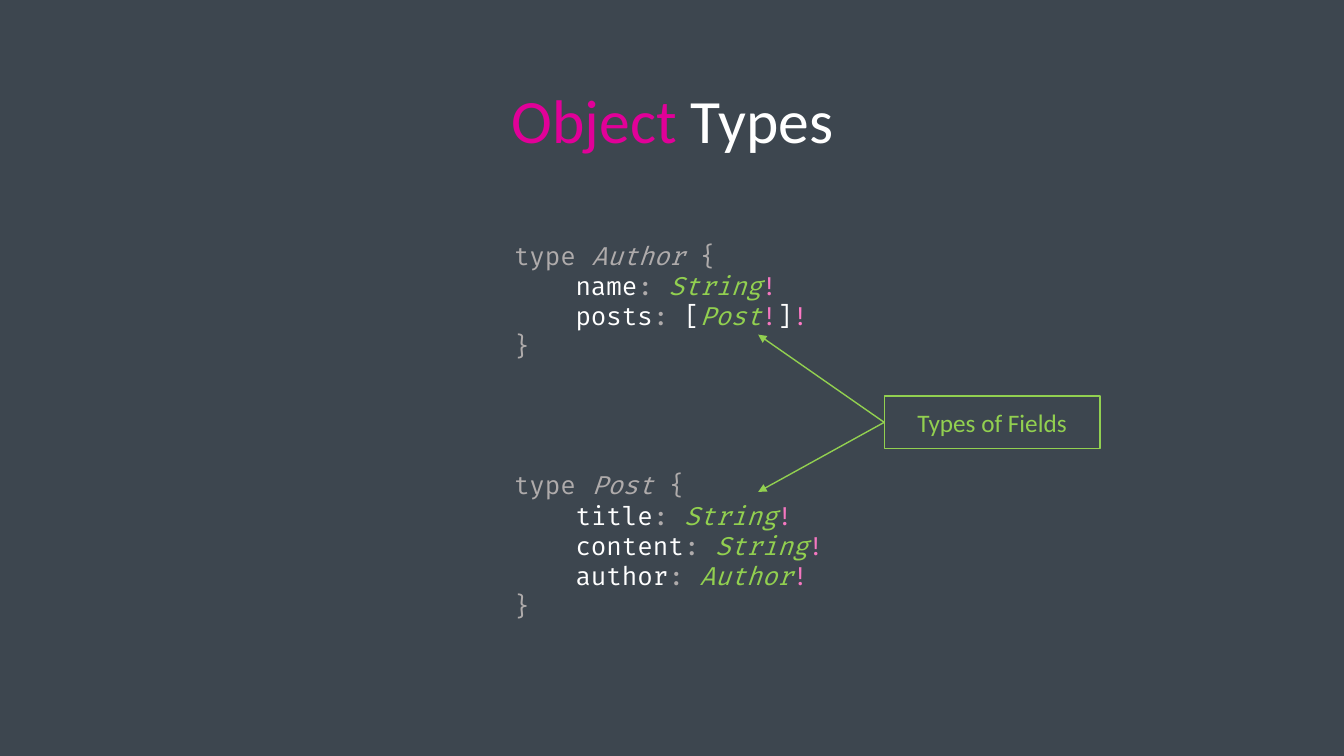
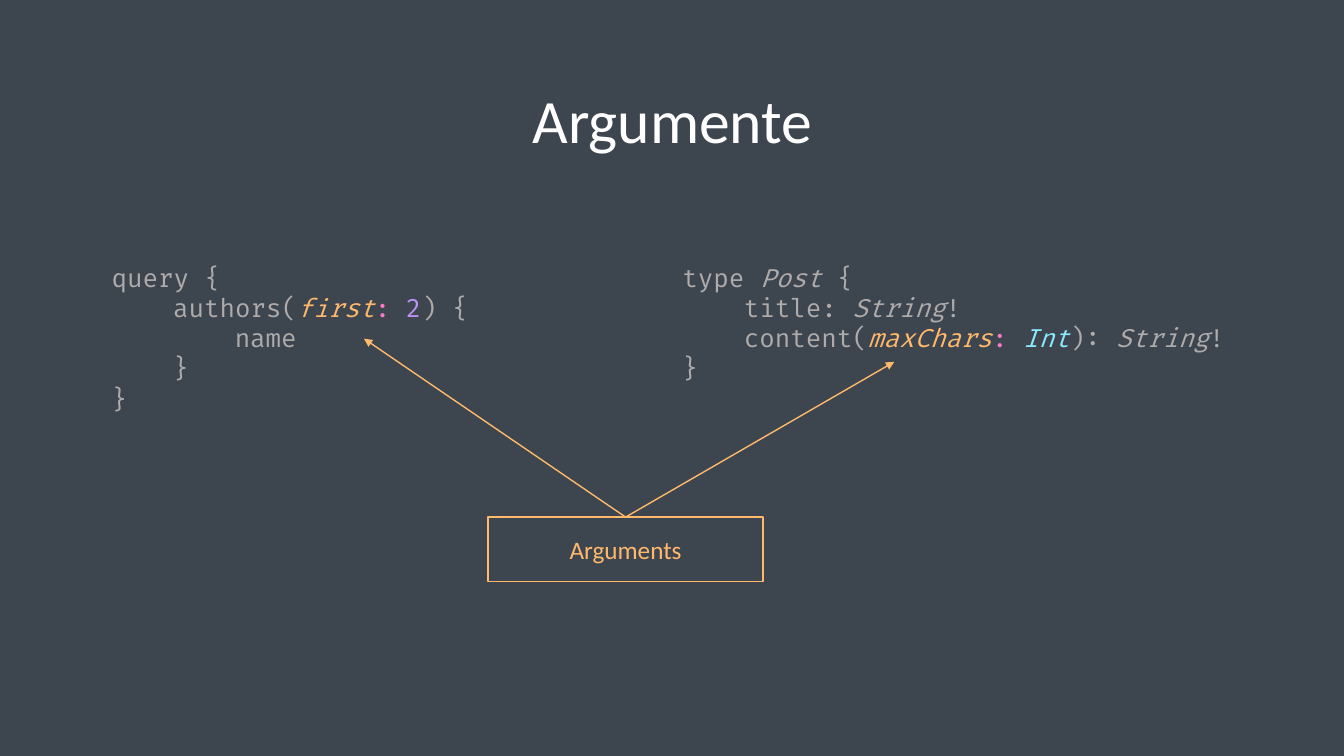
import pptx
import pptx.dml.color
import pptx.enum.shapes
import pptx.enum.text
import pptx.oxml
import pptx.oxml.ns
import pptx.util

Inches = pptx.util.Inches
Pt = pptx.util.Pt
Anchor = pptx.enum.text.MSO_ANCHOR
Align = pptx.enum.text.PP_ALIGN

COLOURS = {
    "background": "3D464F",
    "white": "FFFFFF",
    "grey": "AFABAB",
    "magenta": "E10098",
    "green": "92D050",
    "orange": "FFB86C",
    "pink": "F577C0",
    "hot pink": "FF79C6",
    "purple": "BD93F9",
    "cyan": "8BE9FD",
}

# Text formats: font attributes
TITLE = {"name": "Calibri", "size": Pt(44)}
LABEL = {"name": "Calibri", "size": Pt(18)}
CODE = {"name": "Fira Code", "size": Pt(18)}

# Code tokens: colour and italic
TOKENS = {
    "plain": ("grey", False),
    "name": ("grey", True),
    "field": ("white", False),
    "type": ("green", True),
    "required": ("pink", False),
    "list required": ("hot pink", False),
    "argument": ("orange", True),
    "colon": ("hot pink", False),
    "number": ("purple", False),
    "argument type": ("cyan", True),
}

TITLE_BOX = (1.92, 0.5, 9.5, 1.45)
CODE_INDENT = 0.61  # four characters of code
LEFT_SIDE, TOP_SIDE = 1, 0


def rgb(colour):
    return pptx.dml.color.RGBColor.from_string(COLOURS[colour])


def inches(box):
    return [Inches(value) for value in box]


def set_all(target, values):
    for key, value in values.items():
        setattr(target, key, value)


def add_span(para, text, colour, font, italic=False):
    span = para.add_run()
    span.text = text
    set_all(span.font, {**font, "italic": italic})
    span.font.color.rgb = rgb(colour)


def add_page(deck, title_spans):
    """Title-only page whose title is a list of (text, colour)."""
    page = deck.slides.add_slide(deck.slide_layouts[5])
    title = page.shapes.title
    set_all(title, dict(zip(("left", "top", "width", "height"), inches(TITLE_BOX))))
    set_all(title.text_frame, {"vertical_anchor": Anchor.MIDDLE, "word_wrap": True})
    para = title.text_frame.paragraphs[0]
    set_all(para, {"alignment": Align.CENTER, "line_spacing": 0.9})
    for text, colour in title_spans:
        add_span(para, text, colour, TITLE)
    return page


def add_code(page, box, lines):
    """Code block; each line is (indent level, [(text, token), ...])."""
    frame = page.shapes.add_textbox(*inches(box)).text_frame
    set_all(frame, {"word_wrap": True,
                    "auto_size": pptx.enum.text.MSO_AUTO_SIZE.SHAPE_TO_FIT_TEXT})
    for index, (level, spans) in enumerate(lines):
        para = frame.add_paragraph() if index else frame.paragraphs[0]
        if level:
            para._p.get_or_add_pPr().set("marL", str(Inches(level * CODE_INDENT)))
        for text, token in spans:
            colour, italic = TOKENS[token]
            add_span(para, text, colour, CODE, italic)


def add_arrow(page, label, side, target, colour):
    """Arrow from the middle of a label's side to a point."""
    x, y = inches(target)
    arrow = page.shapes.add_connector(
        pptx.enum.shapes.MSO_CONNECTOR.STRAIGHT, label.left, label.top, x, y)
    arrow.begin_connect(label, side)
    arrow.line.color.rgb = rgb(colour)
    arrow.line.width = Pt(1)
    make = pptx.oxml.parse_xml
    namespace = pptx.oxml.ns.nsdecls("a")
    arrow.line._get_or_add_ln().append(make(f'<a:tailEnd {namespace} type="triangle"/>'))
    arrow._element.spPr.append(make(f"<a:effectLst {namespace}/>"))


def add_callout(page, box, text, colour, side, targets):
    """Outlined label with an arrow to each target."""
    label = page.shapes.add_shape(pptx.enum.shapes.MSO_SHAPE.RECTANGLE, *inches(box))
    label.shadow.inherit = False
    label.fill.background()
    label.line.color.rgb = rgb(colour)
    label.line.width = Pt(1)
    label.text_frame.vertical_anchor = Anchor.MIDDLE
    para = label.text_frame.paragraphs[0]
    para.alignment = Align.CENTER
    add_span(para, text, colour, LABEL)
    for target in targets:
        add_arrow(page, label, side, target, colour)


def plain(text, level=0):
    return level, [(text, "plain")]


def type_head(name):
    return 0, [("type ", "plain"), (name, "name"), (" {", "plain")]


def field(name, *type_spans):
    return 1, [(name, "field"), (": ", "plain"), *type_spans]


def required_field(name, type_name):
    return field(name, (type_name, "type"), ("!", "required"))


def object_types_page(deck):
    page = add_page(deck, [("Object ", "magenta"), ("Types", "white")])
    add_callout(page, (8.77, 3.93, 2.14, 0.52), "Types of Fields", "green",
                LEFT_SIDE, [(7.52, 4.88), (7.52, 3.32)])
    add_code(page, (5, 2.33, 3.77, 1.31), [
        type_head("Author"),
        required_field("name", "String"),
        field("posts", ("[", "field"), ("Post", "type"), ("!", "required"),
              ("]", "field"), ("!", "list required")),
        plain("}"),
    ])
    add_code(page, (5, 4.61, 3.77, 1.62), [
        type_head("Post"),
        required_field("title", "String"),
        required_field("content", "String"),
        required_field("author", "Author"),
        plain("}"),
    ])


def arguments_page(deck):
    page = add_page(deck, [("Argumente", "white")])
    add_code(page, (1.01, 2.55, 5.65, 1.62), [
        plain("query {"),
        (1, [("authors(", "plain"), ("first", "argument"), (": ", "colon"),
             ("2", "number"), (") {", "plain")]),
        plain("name", 2),
        plain("}", 1),
        plain("}"),
    ])
    add_code(page, (6.67, 2.55, 6.67, 1.31), [
        type_head("Post"),
        (1, [("title: ", "plain"), ("String", "name"), ("!", "plain")]),
        (1, [("content(", "plain"), ("maxChars", "argument"), (": ", "colon"),
             ("Int", "argument type"), ("): ", "plain"), ("String", "name"),
             ("!", "plain")]),
        plain("}"),
    ])
    add_callout(page, (4.84, 5.13, 2.73, 0.64), "Arguments", "orange",
                TOP_SIDE, [(3.61, 3.36), (8.87, 3.59)])


def main():
    deck = pptx.Presentation()
    set_all(deck, {"slide_width": Inches(13.33), "slide_height": Inches(7.5)})
    # Shared background
    fill = deck.slide_master.background.fill
    fill.solid()
    fill.fore_color.rgb = rgb("background")
    object_types_page(deck)
    arguments_page(deck)
    deck.save("out.pptx")


if __name__ == "__main__":
    main()
